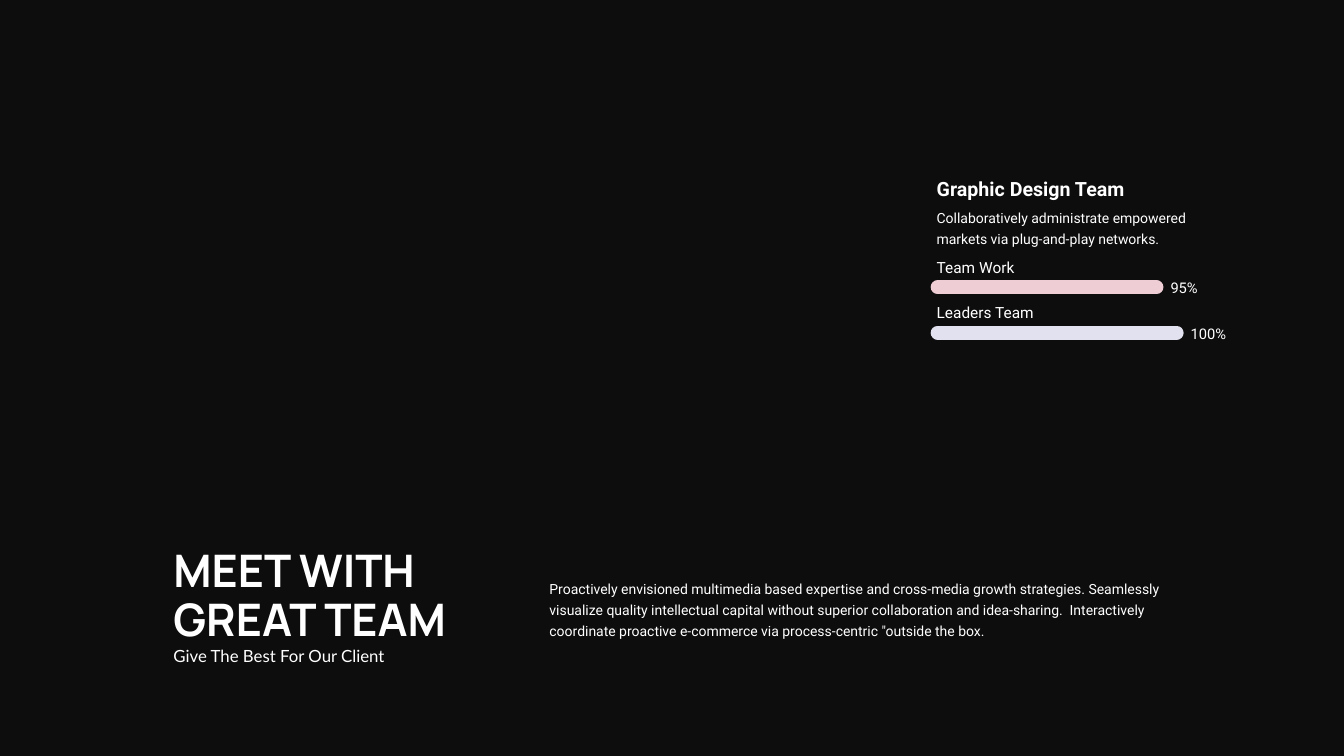
from lxml import etree
from pptx import Presentation
from pptx.dml.color import RGBColor
from pptx.enum.shapes import MSO_CONNECTOR
from pptx.enum.text import MSO_ANCHOR
from pptx.oxml.ns import qn
from pptx.util import Inches, Pt

STRAIGHT = MSO_CONNECTOR.STRAIGHT
TOP = MSO_ANCHOR.TOP
MIDDLE = MSO_ANCHOR.MIDDLE

COLORS = {
    "background": "0D0D0D",
    "text": "FFFFFF",
    "pink": "EFCDD5",
    "lavender": "E1E1EF",
}

TEAM_LEFT = 9.29
BAR_LEFT = 9.3
TITLE_LEFT = 1.72

SKILLS = [
    ("Team Work", "95%", 11.47, "pink"),
    ("Leaders Team", "100%", 11.67, "lavender"),
]
SKILL_TOP = 2.56
SKILL_STEP = 0.45

INTRO = (
    "Proactively envisioned multimedia based expertise and cross-media growth "
    "strategies. Seamlessly visualize quality intellectual capital without "
    "superior collaboration and idea-sharing.  Interactively coordinate "
    'proactive e-commerce via process-centric "outside the box.'
)


def rgb(name):
    return RGBColor.from_string(COLORS[name])


def add_text(s, text, left, top, width, height, size, font="Roboto",
             bold=False, spacing=None, anchor=TOP):
    sp = s.shapes.add_textbox(Inches(left), Inches(top), Inches(width), Inches(height))
    tf = sp.text_frame
    tf.margin_left = tf.margin_top = tf.margin_right = tf.margin_bottom = 0
    tf.word_wrap = True
    tf.vertical_anchor = anchor
    tf.text = text
    for p in tf.paragraphs:
        if spacing:
            p.line_spacing = Pt(spacing)
        for r in p.runs:
            r.font.name = font
            r.font.size = Pt(size)
            r.font.bold = bold
            r.font.color.rgb = rgb("text")


def add_bar(s, right, y, color):
    bar = s.shapes.add_connector(
        STRAIGHT, Inches(BAR_LEFT), Inches(y), Inches(right), Inches(y))
    bar.line.color.rgb = rgb(color)
    bar.line.width = Pt(10)
    bar.get_or_add_ln().set("cap", "rnd")
    etree.SubElement(bar._element.spPr, qn("a:effectLst"))


def add_skill(s, top, label, percent, bar_right, color):
    add_text(s, label, TEAM_LEFT, top, 1.39, 0.19, 11)
    add_bar(s, bar_right, top + 0.29, color)
    add_text(s, percent, bar_right + 0.14, top + 0.21, 0.38, 0.18, 10.5)


def main():
    prs = Presentation()
    prs.slide_width = Inches(13.33)
    prs.slide_height = Inches(7.5)
    s = prs.slides.add_slide(prs.slide_layouts[6])
    s.background.fill.solid()
    s.background.fill.fore_color.rgb = rgb("background")

    add_text(s, "Graphic Design Team", TEAM_LEFT, 1.76, 2.84, 0.24, 14, bold=True)
    add_text(s, "Collaboratively administrate empowered markets via plug-and-play networks.",
             TEAM_LEFT, 2.04, 2.84, 0.4, 10, spacing=15)
    for i, skill in enumerate(SKILLS):
        add_skill(s, SKILL_TOP + i * SKILL_STEP, *skill)

    add_text(s, "MEET WITH\nGREAT TEAM", TITLE_LEFT, 5.43, 3.19, 0.98, 32,
             font="Manrope", bold=True, spacing=35, anchor=MIDDLE)
    add_text(s, "Give The Best For Our Client", TITLE_LEFT, 6.41, 3.19, 0.2, 12, font="Lato")
    add_text(s, INTRO, 5.45, 5.72, 6.17, 0.61, 10, spacing=15)

    prs.save("out.pptx")


if __name__ == "__main__":
    main()
